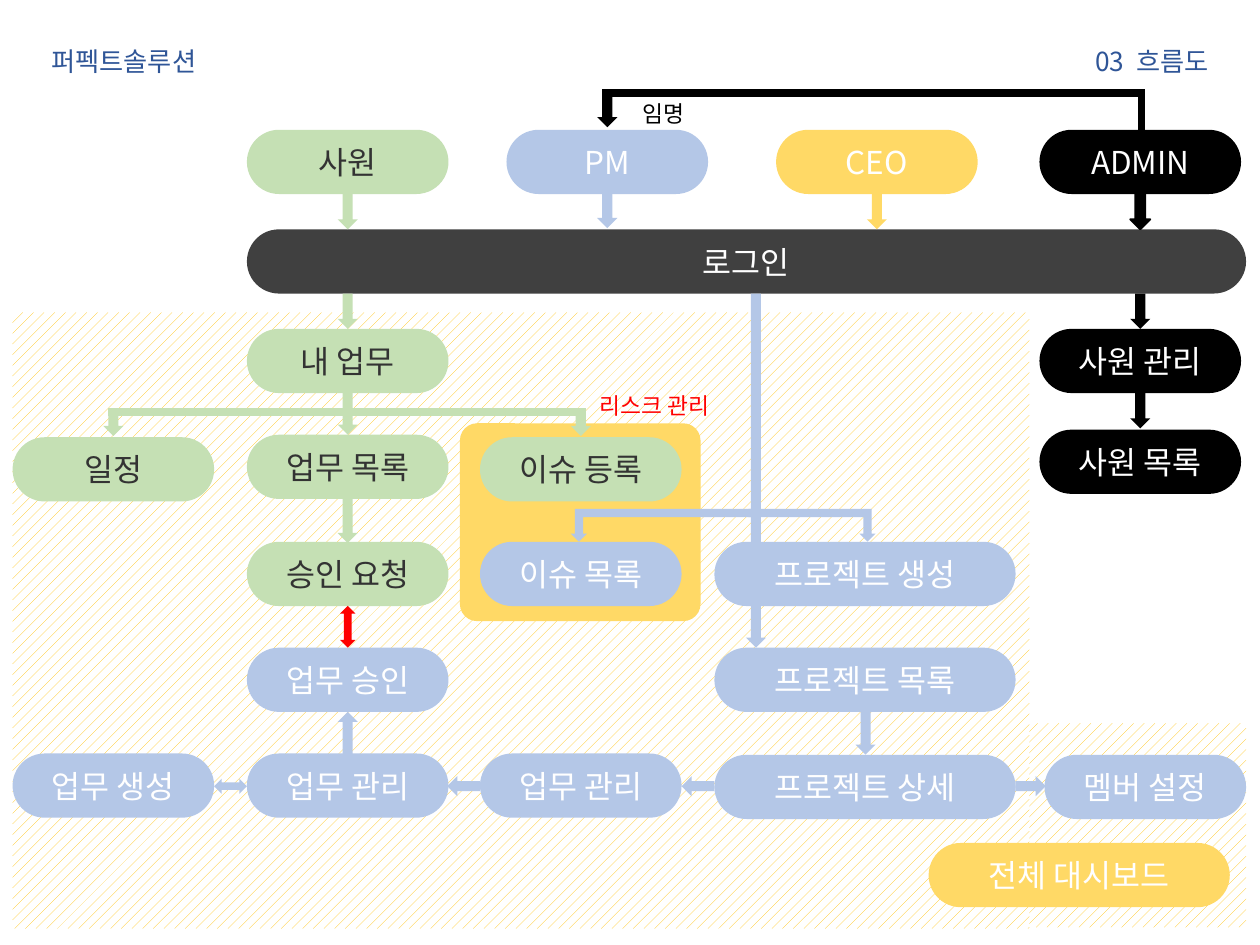
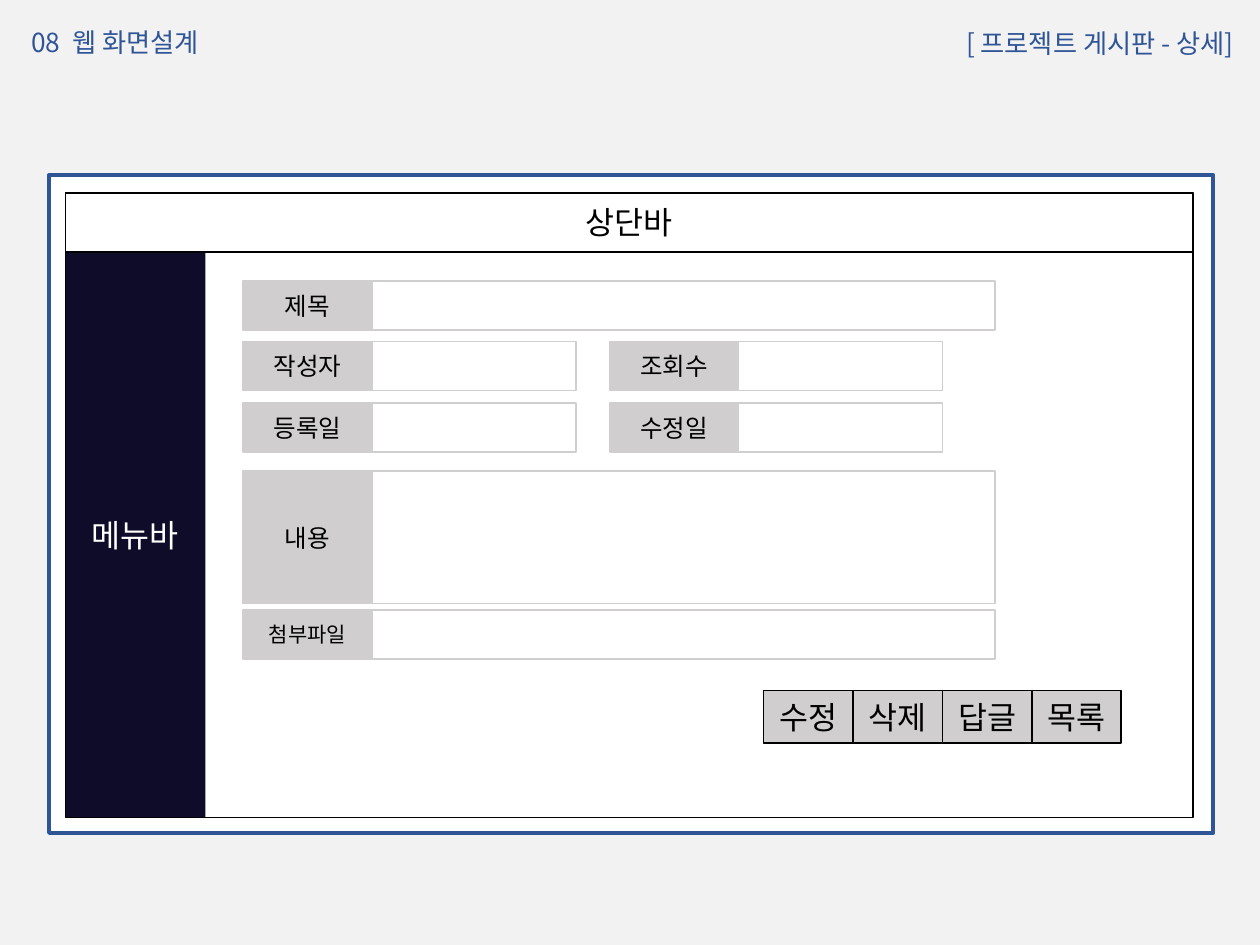
from lxml import etree
from pptx import Presentation
from pptx.dml.color import RGBColor
from pptx.enum import dml, shapes, text
from pptx.oxml.ns import qn
from pptx.util import Inches, Pt

SHAPE = shapes.MSO_SHAPE
ALIGN = text.PP_ALIGN
NOTO, LATIN = "Noto Sans CJK KR", "Calibri"
NAVY, WHITE, BLACK, GRAY = "2F5597", "FFFFFF", "000000", "D0CECE"
GREEN, BLUE, GOLD, RED = "C5E0B4", "B4C7E7", "FFD966", "FF0000"
DARK, INK, PALE, NIGHT = "404040", "333333", "F2F2F2", "0E0C28"

COLS = 0.1, 1.96, 3.81, 5.67
SLIM, WIDE, TALL = 1.6, 2.39, 0.51
ZONES = [(7.9, 5.74, 1.99, 1.62), (0.1, 2.48, 8.07, 4.89)]
RISK = 3.65, 3.36, 1.91, 1.57
PILLS = [
    (GREEN, SLIM, [
        ("사원", COLS[1], 1.03), ("내 업무", COLS[1], 2.61),
        ("일정", COLS[0], 3.47), ("업무 목록", COLS[1], 3.45),
        ("이슈 등록", COLS[2], 3.47), ("승인 요청", COLS[1], 4.3)]),
    (BLUE, SLIM, [
        ("PM", 4.02, 1.03), ("이슈 목록", COLS[2], 4.3),
        ("업무 승인", COLS[1], 5.14), ("업무 생성", COLS[0], 5.98),
        ("업무 관리", COLS[1], 5.98), ("업무 관리", COLS[2], 5.98),
        ("멤버 설정", 8.29, 5.99)]),
    (BLUE, WIDE, [
        ("프로젝트 생성", COLS[3], 4.3), ("프로젝트 목록", COLS[3], 5.14),
        ("프로젝트 상세", COLS[3], 5.99)]),
    (GOLD, SLIM, [("CEO", 6.16, 1.03)]),
    (GOLD, WIDE, [("전체 대시보드", 7.37, 6.69)]),
    (BLACK, SLIM, [
        ("ADMIN", 8.25, 1.03), ("사원 관리", 8.25, 2.61),
        ("사원 목록", 8.25, 3.41)]),
    (DARK, 7.93, [("로그인", COLS[1], 1.82)]),
]
DOWNS = [
    (GREEN, [(2.68, 1.54, 0.28), (2.68, 2.33, 0.28), (2.68, 3.12, 0.33),
             (0.82, 3.27, 0.19), (4.53, 3.27, 0.19), (2.68, 3.96, 0.35)]),
    (BLUE, [(4.74, 1.53, 0.28), (5.92, 2.33, 2.81), (6.79, 5.63, 0.36)]),
    (GOLD, [(6.88, 1.54, 0.28)]),
    (BLACK, [(8.97, 2.33, 0.28), (8.97, 3.12, 0.28), (4.74, 0.73, 0.28)]),
]
TURNS = [
    (SHAPE.UP_DOWN_ARROW, (2.7, 4.81, 0.12, 0.33), RED),
    (SHAPE.LEFT_RIGHT_ARROW, (1.7, 6.18, 0.26, 0.12), BLUE),
    (SHAPE.UP_ARROW, (2.68, 5.65, 0.16, 0.35), BLUE),
    (SHAPE.LEFT_ARROW, (3.55, 6.16, 0.26, 0.16), BLUE),
    (SHAPE.LEFT_ARROW, (5.41, 6.16, 0.26, 0.16), BLUE),
    (SHAPE.RIGHT_ARROW, (8.06, 6.16, 0.24, 0.16), BLUE),
]
BENDS = [((4.53, 4.04, 1.49, 0.26), ("flipH", "flipV")),
         ((5.94, 4.04, 1.01, 0.26), ("flipV",))]
LINES = [((0.86, 3.27, 4.65, 3.27), GREEN), ((4.78, 0.74, 9.06, 0.74), BLACK),
         ((9.06, 0.71, 9.06, 1.03), BLACK)]

LEFT, RIGHT, LABEL, ROW = 1.93, 4.84, 1.02, 0.39
SHORT, LONG = 1.62, 4.95
FIELDS = [
    ("제목", LEFT, 2.23, LONG, ROW, 14),
    ("작성자", LEFT, 2.71, SHORT, ROW, 14),
    ("조회수", RIGHT, 2.71, SHORT, ROW, 14),
    ("등록일", LEFT, 3.2, SHORT, ROW, 14),
    ("수정일", RIGHT, 3.2, SHORT, ROW, 14),
    ("내용", LEFT, 3.74, LONG, 1.05, 14),
    ("첨부파일", LEFT, 4.84, LONG, ROW, 12),
]
BUTTONS = ["수정", "삭제", "답글", "목록"]


def rgb(code):
    return RGBColor.from_string(code)


def write(shape, words, size, color, face, align):
    para = shape.text_frame.paragraphs[0]
    para.text = words
    para.alignment = align
    font = para.font
    font.size, font.name = Pt(size), face
    font.color.rgb = rgb(color)
    etree.SubElement(font._element, qn("a:ea")).set("typeface", NOTO)


def draw(slide, kind, box, fill=None, line=None, width=1):
    shape = slide.shapes.add_shape(kind, *map(Inches, box))
    shape.shadow.inherit = False
    if fill:
        shape.fill.solid()
        shape.fill.fore_color.rgb = rgb(fill)
    else:
        shape.fill.background()
    if line:
        shape.line.color.rgb = rgb(line)
        shape.line.width = Pt(width)
    else:
        shape.line.fill.background()
    return shape


def block(slide, box, words, fill, line, size=18, color=BLACK):
    shape = draw(slide, SHAPE.RECTANGLE, box, fill, line)
    write(shape, words, size, color, LATIN, ALIGN.CENTER)


def note(slide, box, words, size=15, color=NAVY, align=ALIGN.LEFT):
    shape = slide.shapes.add_textbox(*map(Inches, box))
    shape.text_frame.word_wrap = True
    shape.text_frame.auto_size = text.MSO_AUTO_SIZE.SHAPE_TO_FIT_TEXT
    write(shape, words, size, color, NOTO, align)


def link(slide, ends, color):
    line = slide.shapes.add_connector(
        shapes.MSO_CONNECTOR.STRAIGHT, *map(Inches, ends))
    line.line.color.rgb = rgb(color)
    line.line.width = Pt(4.5)
    etree.SubElement(line._element.spPr, qn("a:effectLst"))


def flow(slide):
    for zone in ZONES:
        fill = draw(slide, SHAPE.RECTANGLE, zone).fill
        fill.patterned()
        fill.pattern = dml.MSO_PATTERN.PERCENT_20
        fill.fore_color.rgb = rgb("FFC000")
        fill.back_color.rgb = rgb(WHITE)
    draw(slide, SHAPE.ROUNDED_RECTANGLE, RISK, GOLD).adjustments[0] = 0.087
    note(slide, (0.31, 0.31, 2.94, 0.35), "퍼펙트솔루션")
    note(slide, (6.75, 0.31, 2.94, 0.35), "03  흐름도", align=ALIGN.RIGHT)
    for fill, wide, items in PILLS:
        for words, x, y in items:
            pill = draw(slide, SHAPE.ROUNDED_RECTANGLE, (x, y, wide, TALL), fill)
            pill.adjustments[0] = 0.5
            color = INK if fill == GREEN else WHITE
            write(pill, words, 18, color, NOTO, ALIGN.CENTER)
    for fill, items in DOWNS:
        for x, y, high in items:
            draw(slide, SHAPE.DOWN_ARROW, (x, y, 0.16, high), fill)
    draw(slide, SHAPE.DOWN_ARROW, (8.97, 1.54, 0.16, 0.28), BLACK, BLACK)
    for kind, box, fill in TURNS:
        draw(slide, kind, box, fill)
    for box, flips in BENDS:
        bend = draw(slide, SHAPE.BENT_UP_ARROW, box, BLUE)
        for flip in flips:
            bend._element.spPr.xfrm.set(flip, "1")
    for ends, color in LINES:
        link(slide, ends, color)
    note(slide, (4.61, 3.06, 1.17, 0.32), "리스크 관리", 13, RED, ALIGN.CENTER)
    note(slide, (5, 0.74, 0.62, 0.32), "임명", 13, BLACK)


def screen(slide):
    draw(slide, SHAPE.RECTANGLE, (0, 0, 10, 7.5), PALE)
    draw(slide, SHAPE.RECTANGLE, (0.39, 1.39, 9.24, 5.22), WHITE, NAVY, 2.25)
    note(slide, (0.15, 0.16, 2.94, 0.35), "08  웹 화면설계")
    note(slide, (5.89, 0.17, 4, 0.35), "[ 프로젝트 게시판 - 상세]",
         align=ALIGN.RIGHT)
    block(slide, (0.52, 2, 1.11, 4.49), "메뉴바", NIGHT, None, color=WHITE)
    block(slide, (0.52, 1.53, 8.95, 0.47), "상단바", WHITE, BLACK)
    draw(slide, SHAPE.RECTANGLE, (0.52, 1.53, 8.95, 4.96), None, BLACK)
    for words, x, y, wide, high, size in FIELDS:
        block(slide, (x, y, LABEL, high), words, GRAY, GRAY, size)
        draw(slide, SHAPE.RECTANGLE, (x + LABEL, y, wide, high), WHITE, GRAY)
    for i, words in enumerate(BUTTONS):
        block(slide, (6.06 + i * 0.71, 5.48, 0.71, 0.42), words, GRAY, BLACK)


def main():
    deck = Presentation()
    deck.slide_width, deck.slide_height = Inches(10), Inches(7.5)
    for build in (flow, screen):
        build(deck.slides.add_slide(deck.slide_layouts[6]))
    deck.save("out.pptx")


if __name__ == "__main__":
    main()
